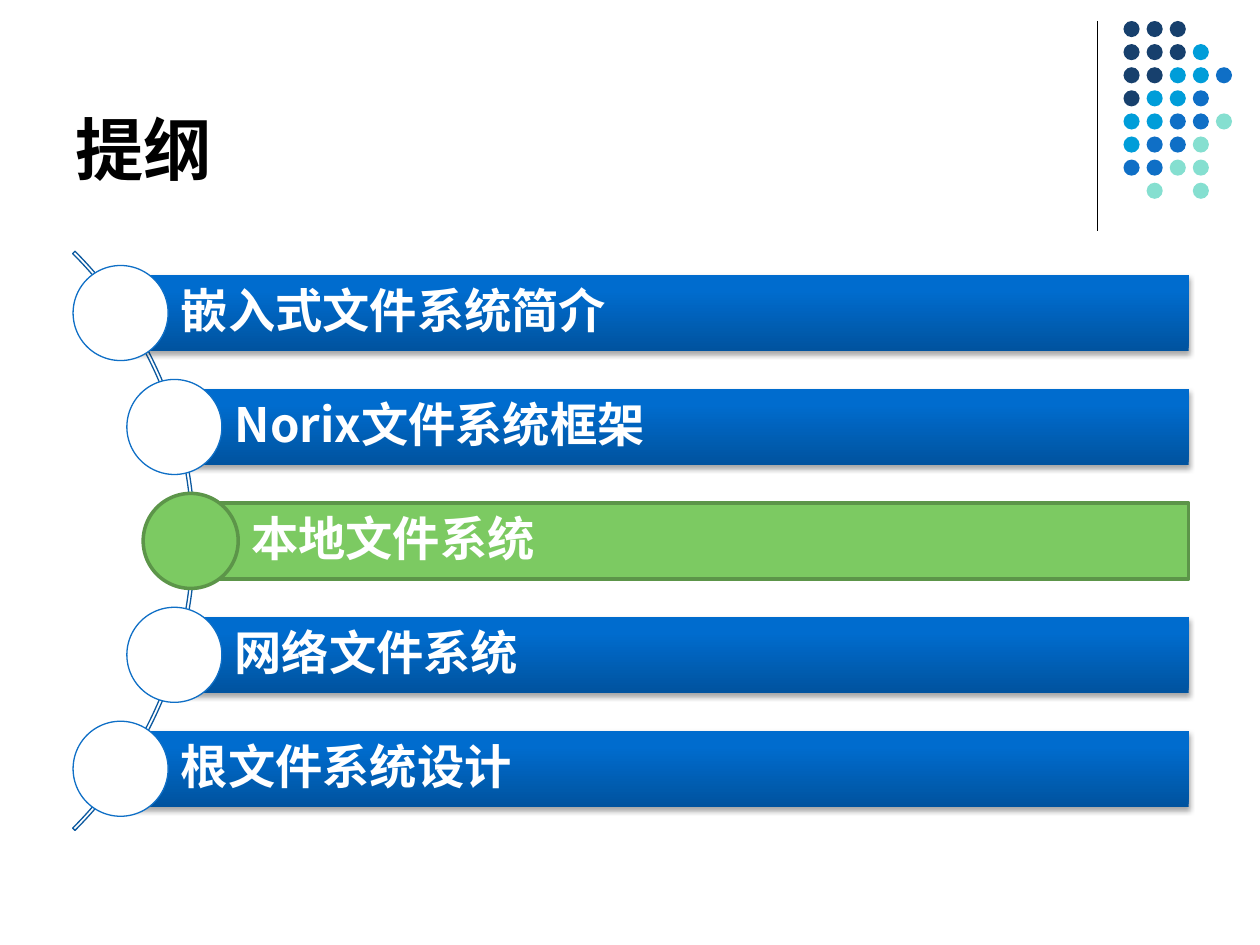
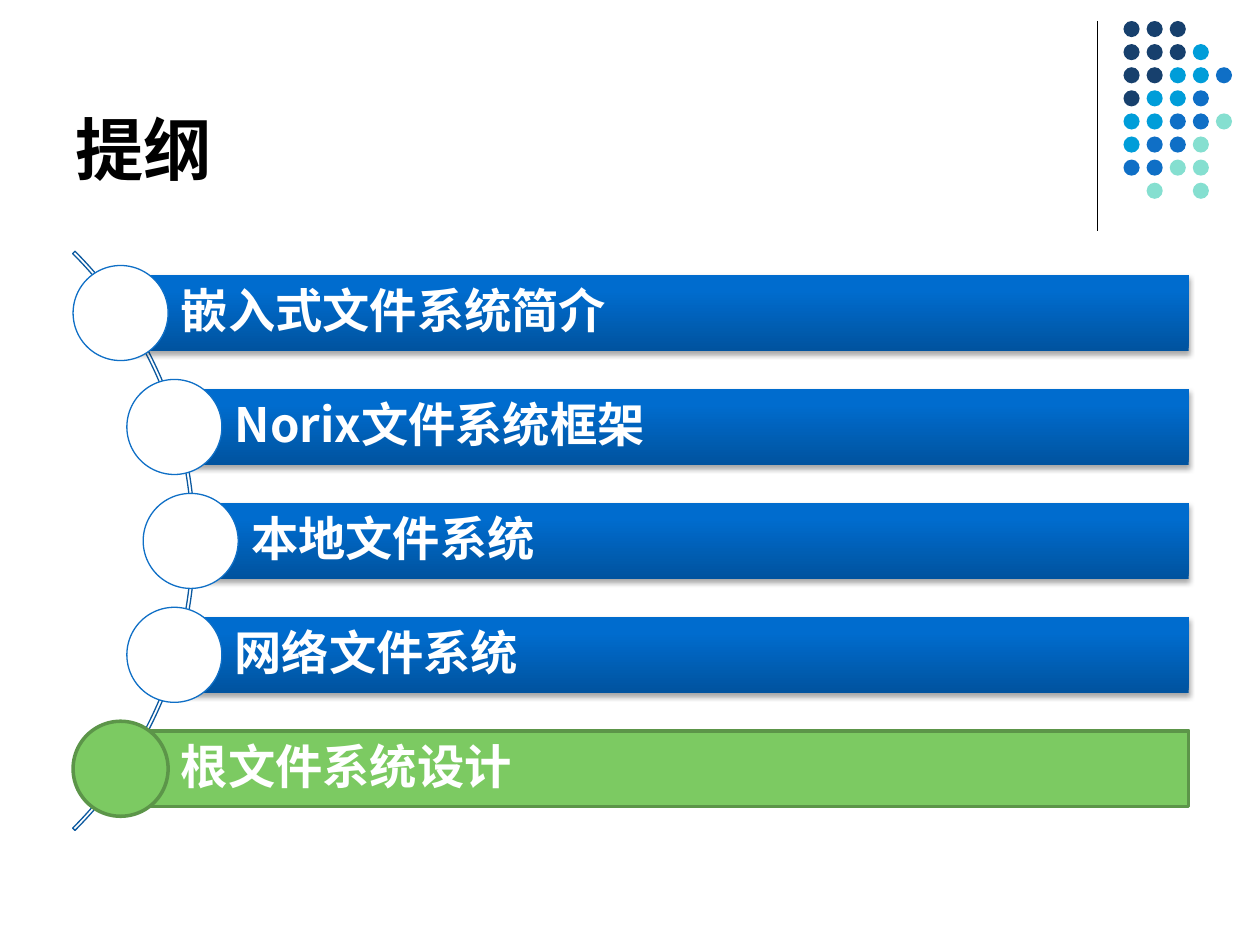
from copy import deepcopy
from math import sqrt

from lxml import etree
from pptx import Presentation
from pptx.dml.color import RGBColor
from pptx.enum.shapes import MSO_CONNECTOR as CONN, MSO_SHAPE as SHAPE
from pptx.enum.text import MSO_ANCHOR as ANCHOR, PP_ALIGN as ALIGN
from pptx.oxml.ns import qn
from pptx.util import Pt

TITLE = "提纲"
TOPICS = [
    "嵌入式文件系统简介",
    "Norix文件系统框架",
    "本地文件系统",
    "网络文件系统",
    "根文件系统设计",
]
CURRENT_TOPICS = ["本地文件系统", "根文件系统设计"]  # one slide each

BLACK = RGBColor(0x00, 0x00, 0x00)
WHITE = RGBColor(0xFF, 0xFF, 0xFF)
NAVY = RGBColor(0x17, 0x40, 0x6D)
CYAN = RGBColor(0x00, 0x9D, 0xD9)
BLUE = RGBColor(0x0F, 0x6F, 0xC6)
MINT = RGBColor(0x85, 0xDF, 0xD0)
ARC_BLUE = RGBColor(0x0C, 0x59, 0x9F)
GREEN = RGBColor(0x7C, 0xCA, 0x62)
DARK_GREEN = RGBColor(0x5C, 0x95, 0x49)
BAR_STOPS = [
    (0, RGBColor(0x00, 0x53, 0x9F)),
    (0.8, RGBColor(0x00, 0x6C, 0xCE)),
    (1, RGBColor(0x00, 0x6D, 0xCF)),
]

DOT_ROWS = ["NNN", "NNNC", "NNCCB", "NCCB", "CCBBM", "CBBM", "BBMM", ".M.M"]
DOT_COLORS = {"N": NAVY, "C": CYAN, "B": BLUE, "M": MINT}
DOT_LEFT, DOT_TOP, DOT_STEP, DOT_SIZE = 642, 12, 13.2, 9.2

TITLE_FONT, CJK_FONT = "Times New Roman", "Noto Sans CJK SC"

# Topic circles sit on a large circle whose centre is left of the slide
ARC_X, ARC_Y, ARC_R, ARC_SIZE = -122.6, 309.1, 231.6, 468
TOPIC_STEP, BAR_H, BAR_RIGHT, CIRCLE = 65.1, 43.4, 679.3, 54.3


def add_shape(slide, kind, x, y, w, h, fill=None, line=None, width=0.75):
    s = slide.shapes.add_shape(kind, Pt(x), Pt(y), Pt(w), Pt(h))
    s.shadow.inherit = False
    if fill is None:
        s.fill.background()
    else:
        s.fill.solid()
        s.fill.fore_color.rgb = fill
    if line is None:
        s.line.fill.background()
    else:
        s.line.color.rgb = line
        s.line.width = Pt(width)
    return s


def write(s, text, size, color, font=CJK_FONT, anchor=ANCHOR.MIDDLE,
          insets=(7.2, 3.6, 7.2, 3.6), spacing=1.0):
    """Put one bold left-aligned paragraph into a shape."""
    tf = s.text_frame
    tf.word_wrap = True
    tf.vertical_anchor = anchor
    tf.margin_left, tf.margin_top, tf.margin_right, tf.margin_bottom = map(Pt, insets)
    p = tf.paragraphs[0]
    p.alignment = ALIGN.LEFT
    p.line_spacing = spacing
    r = p.add_run()
    r.text = text
    r.font.size, r.font.bold, r.font.name = Pt(size), True, font
    r.font.color.rgb = color
    etree.SubElement(r.font._element, qn("a:ea"), typeface=CJK_FONT)


def shade_bar(s):
    """Give a bar its vertical gradient and soft drop shadow."""
    s.fill.gradient()
    s.fill.gradient_angle = 90
    sp_pr = s._element.spPr
    stops = sp_pr.find(".//" + qn("a:gsLst"))
    stops.append(deepcopy(stops[-1]))
    for stop, (position, color) in zip(s.fill.gradient_stops, BAR_STOPS):
        stop.position = position
        stop.color.rgb = color
    shadow = etree.SubElement(
        sp_pr.find(qn("a:effectLst")), qn("a:outerShdw"), blurRad=str(Pt(3.1)),
        dist=str(Pt(1.8)), dir="5400000", rotWithShape="0")
    color = etree.SubElement(shadow, qn("a:srgbClr"), val=str(BLACK))
    etree.SubElement(color, qn("a:alpha"), val="35000")


def add_frame(slide):
    """Draw the rule, the dot pattern and the title."""
    rule = slide.shapes.add_connector(CONN.STRAIGHT, Pt(627), Pt(12), Pt(627), Pt(132))
    rule.line.color.rgb = BLACK
    rule.line.width = Pt(0.75)
    etree.SubElement(rule._element.spPr, qn("a:effectLst"))
    for row, codes in enumerate(DOT_ROWS):
        for col, code in enumerate(codes):
            if code in DOT_COLORS:
                add_shape(slide, SHAPE.OVAL, DOT_LEFT + col * DOT_STEP,
                          DOT_TOP + row * DOT_STEP, DOT_SIZE, DOT_SIZE, DOT_COLORS[code])
    title = slide.shapes.add_textbox(Pt(36), Pt(9.5), Pt(594), Pt(102))
    write(title, TITLE, 39, BLACK, font=TITLE_FONT, anchor=ANCHOR.BOTTOM)


def add_topics(slide, current):
    arc = add_shape(slide, SHAPE.BLOCK_ARC, ARC_X - ARC_SIZE / 2, ARC_Y - ARC_SIZE / 2,
                    ARC_SIZE, ARC_SIZE, line=ARC_BLUE)
    for i, value in enumerate((189, 27, 0.004)):
        arc.adjustments[i] = value
    for i, topic in enumerate(TOPICS):
        dy = (i - (len(TOPICS) - 1) / 2) * TOPIC_STEP
        x, y = ARC_X + sqrt(ARC_R ** 2 - dy ** 2), ARC_Y + dy
        active = dict(fill=GREEN, line=DARK_GREEN, width=2)
        is_current = topic == current
        bar = add_shape(slide, SHAPE.RECTANGLE, x, y - BAR_H / 2, BAR_RIGHT - x, BAR_H,
                        **(active if is_current else {}))
        if not is_current:
            shade_bar(bar)
        write(bar, topic, 27, WHITE, insets=(34.5, 5, 5, 5), spacing=0.9)
        add_shape(slide, SHAPE.OVAL, x - CIRCLE / 2, y - CIRCLE / 2, CIRCLE, CIRCLE,
                  **(active if is_current else dict(fill=WHITE, line=BLUE)))


def main():
    prs = Presentation()
    prs.slide_width, prs.slide_height = Pt(720), Pt(540)
    for current in CURRENT_TOPICS:
        slide = prs.slides.add_slide(prs.slide_layouts[6])
        add_frame(slide)
        add_topics(slide, current)
    prs.save("out.pptx")


if __name__ == "__main__":
    main()
